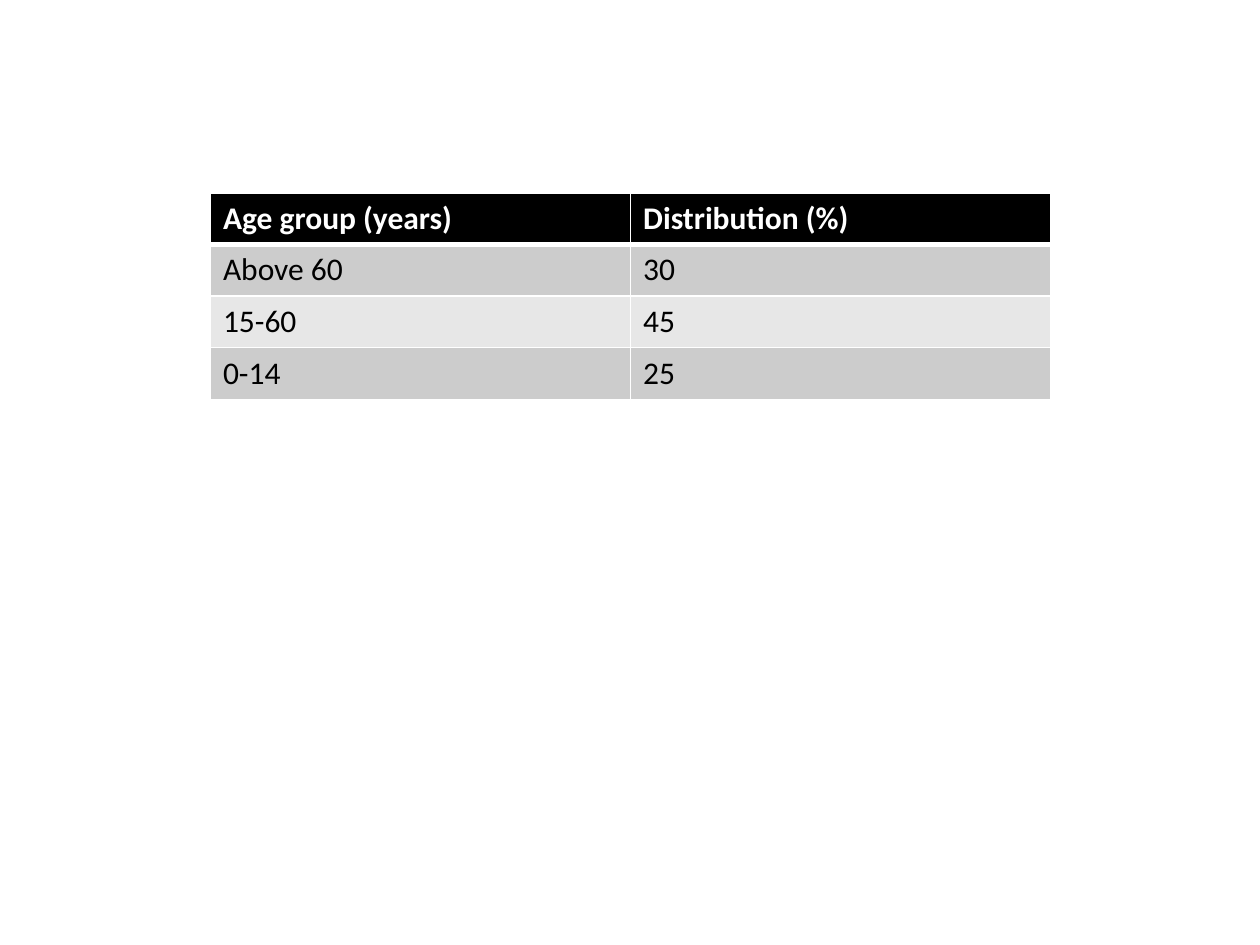
from lxml import etree
from pptx import Presentation
from pptx.dml.color import RGBColor
from pptx.oxml.ns import qn
from pptx.util import Inches, Pt

BLACK = RGBColor(0x00, 0x00, 0x00)
WHITE = RGBColor(0xFF, 0xFF, 0xFF)
DARK_BAND = RGBColor(0xCC, 0xCC, 0xCC)
LIGHT_BAND = RGBColor(0xE7, 0xE7, 0xE7)

AGE_ROWS = [
    ("Age group (years)", "Distribution (%)"),
    ("Above 60", "30"),
    ("15-60", "45"),
    ("0-14", "25"),
]


def add_border(cell, side, width):
    """Draw a white line along one side of a cell."""
    properties = cell._tc.get_or_add_tcPr()
    line = etree.SubElement(properties, qn(f"a:ln{side}"), w=str(Pt(width)))
    fill = etree.SubElement(line, qn("a:solidFill"))
    etree.SubElement(fill, qn("a:srgbClr"), val=str(WHITE))


def style_cell(cell, row):
    """Apply header or banded style according to the row number."""
    is_header = row == 0

    # Borders come before the fill; the line under the header is thicker
    widths = {"L": 1, "R": 1, "T": 3 if row == 1 else 1, "B": 3 if is_header else 1}
    for side, width in widths.items():
        add_border(cell, side, width)

    cell.fill.solid()
    band = DARK_BAND if row % 2 else LIGHT_BAND
    cell.fill.fore_color.rgb = BLACK if is_header else band

    font = cell.text_frame.paragraphs[0].font
    font.name = "Calibri"
    font.size = Pt(18)
    font.bold = is_header
    font.color.rgb = WHITE if is_header else BLACK


def add_age_table(slide, rows, left, top, width, row_height):
    frame = slide.shapes.add_table(
        len(rows), len(rows[0]), left, top, width, row_height * len(rows)
    )
    for row, values in enumerate(rows):
        for column, value in enumerate(values):
            cell = frame.table.cell(row, column)
            cell.text = value
            style_cell(cell, row)


def main():
    presentation = Presentation()
    presentation.slide_width = Inches(10)
    presentation.slide_height = Inches(7.5)
    slide = presentation.slides.add_slide(presentation.slide_layouts[6])

    # Age distribution table
    add_age_table(
        slide, AGE_ROWS, Inches(1.67), Inches(1.53), Inches(6.67), Inches(0.41)
    )

    presentation.save("out.pptx")


if __name__ == "__main__":
    main()
